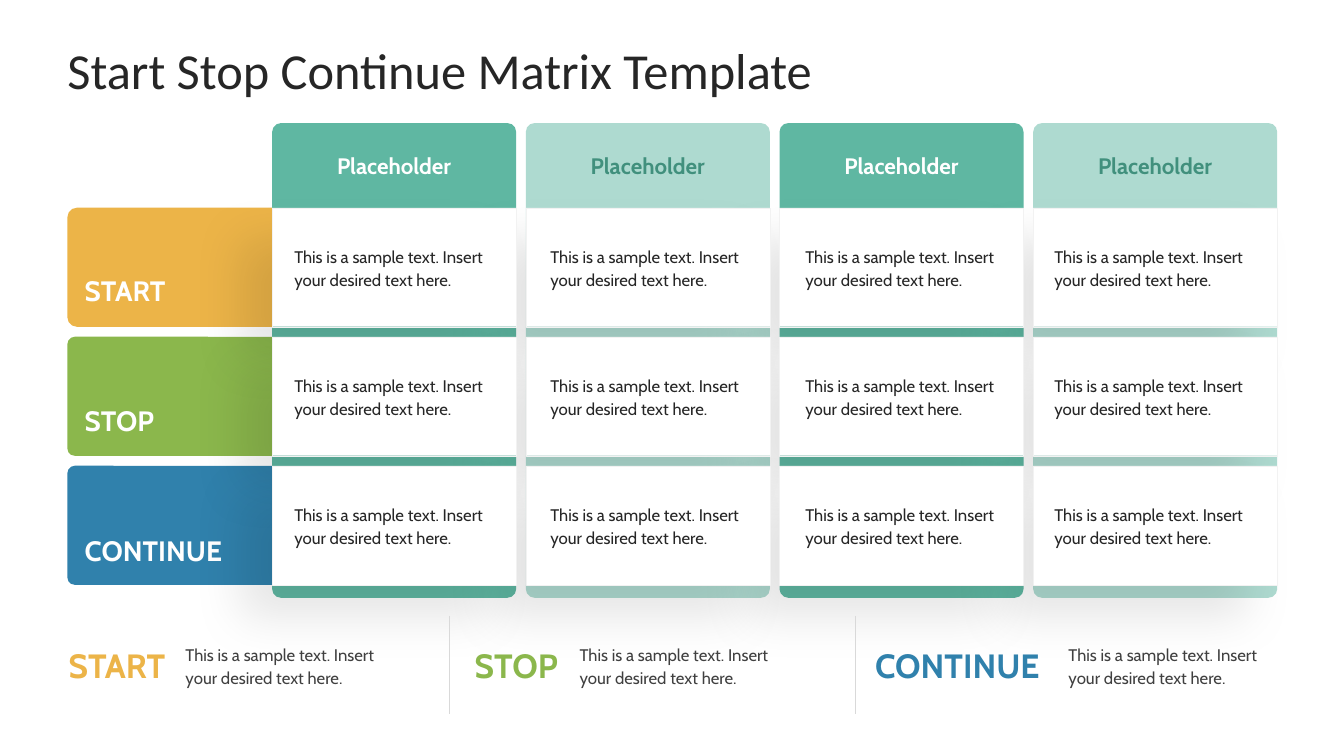
from dataclasses import dataclass

from lxml.etree import SubElement
from pptx import Presentation
from pptx.dml.color import RGBColor
from pptx.enum.shapes import MSO_CONNECTOR, MSO_SHAPE
from pptx.enum.text import MSO_ANCHOR, PP_ALIGN
from pptx.oxml.ns import qn
from pptx.util import Pt


@dataclass(frozen=True)
class Theme:
    teal: str = "5FB7A2"
    dark_teal: str = "41907D"
    white: str = "FFFFFF"
    ink: str = "262626"
    soft_ink: str = "404040"
    cell_edge: str = "F2F2F2"
    divider: str = "D9D9D9"
    shadow: str = "000000"
    title_font: str = "Calibri"
    body_font: str = "Cabin"
    title_size: float = 36
    legend_size: float = 24
    row_size: float = 20
    header_size: float = 16
    body_size: float = 12


THEME = Theme()
SAMPLE = "This is a sample text. Insert your desired text here."

COLUMN_LEFT, COLUMN_TOP, COLUMN_PITCH = 194.4, 87.9, 181.2
COLUMN_WIDTH, COLUMN_HEIGHT = 174.3, 339.1
ROW_TOP, ROW_PITCH, ROW_HEIGHT = 148.4, 92.15, 85
CELL_TEXT_LEFTS = (210.2, 393.1, 575.3, 753.1)
SAMPLE_WIDTH = 142.6

# name, colour, corner radius, legend name left, legend name width, legend text left
ROWS = (
    ("START", "ECB448", 0.079, 49, 72, 132.5),
    ("STOP", "8BB74C", 0.061, 339.1, 72, 414),
    ("CONTINUE", "3081AC", 0.061, 625, 142.6, 763.2),
)


def add_block(slide, kind, left, top, width, height, color):
    block = slide.shapes.add_shape(kind, Pt(left), Pt(top), Pt(width), Pt(height))
    block.shadow.inherit = False
    block.fill.solid()
    block.fill.fore_color.rgb = RGBColor.from_string(color)
    block.line.fill.background()
    return block


def add_rounded(slide, left, top, width, height, color, radius):
    block = add_block(slide, MSO_SHAPE.ROUNDED_RECTANGLE, left, top, width, height, color)
    block.adjustments[0] = radius
    return block


def set_alpha(color_element, percent):
    SubElement(color_element, qn("a:alpha"), val=str(percent * 1000))


def add_text(slide, text, left, top, width, height, size, color, bold=False,
             font=THEME.body_font, align=PP_ALIGN.LEFT, spacing=None):
    box = slide.shapes.add_textbox(Pt(left), Pt(top), Pt(width), Pt(height))
    frame = box.text_frame
    frame.word_wrap = True
    frame.vertical_anchor = MSO_ANCHOR.MIDDLE
    frame.margin_left = frame.margin_right = frame.margin_top = frame.margin_bottom = 0
    para = frame.paragraphs[0]
    para.text = text
    para.alignment = align
    if spacing:
        para.line_spacing = spacing
    para.font.name = font
    para.font.size = Pt(size)
    para.font.bold = bold
    para.font.color.rgb = RGBColor.from_string(color)


def add_sample(slide, left, top, height, color):
    add_text(slide, SAMPLE, left, top, SAMPLE_WIDTH, height, THEME.body_size, color, spacing=1.1)


def add_row_label(slide, index, name, color, radius):
    add_rounded(slide, 48.2, ROW_TOP + index * ROW_PITCH, 180, ROW_HEIGHT, color, radius)
    add_text(slide, name, 60.5, 195.1 + index * 92.9, 121, 23.8,
             THEME.row_size, THEME.white, bold=True)


def add_column(slide, index):
    """Draw the coloured back of a column and its header; every second one is pale."""
    pale = index % 2 == 1
    left = COLUMN_LEFT + index * COLUMN_PITCH
    back = add_rounded(slide, left, COLUMN_TOP, COLUMN_WIDTH, COLUMN_HEIGHT, THEME.teal, 0.036)
    if pale:
        set_alpha(back._element.spPr.find(qn("a:solidFill"))[0], 50)
    add_text(slide, "Placeholder", left + 8.6, 106.6, 157, 23.8, THEME.header_size,
             THEME.dark_teal if pale else THEME.white, bold=True, align=PP_ALIGN.CENTER)


def add_cell(slide, column, row):
    top = ROW_TOP + row * ROW_PITCH
    cell = add_block(slide, MSO_SHAPE.RECTANGLE, COLUMN_LEFT + column * COLUMN_PITCH, top,
                     COLUMN_WIDTH, ROW_HEIGHT, THEME.white)
    cell.line.color.rgb = RGBColor.from_string(THEME.cell_edge)
    cell.line.width = Pt(0.25)
    effects = cell._element.spPr.find(qn("a:effectLst"))
    shadow = SubElement(effects, qn("a:outerShdw"), blurRad=str(Pt(35)), dist=str(Pt(32)),
                        dir=str(135 * 60000), algn="tr", rotWithShape="0")
    set_alpha(SubElement(shadow, qn("a:srgbClr"), val=THEME.shadow), 10)


def add_divider(slide, left):
    divider = slide.shapes.add_connector(MSO_CONNECTOR.STRAIGHT, Pt(left), Pt(440),
                                         Pt(left), Pt(509.8))
    divider.line.color.rgb = RGBColor.from_string(THEME.divider)
    divider.line.width = Pt(0.75)
    SubElement(divider._element.spPr, qn("a:effectLst"))


def add_legend_entry(slide, name, color, name_left, name_width, text_left):
    add_text(slide, name, name_left, 463, name_width, 23.8, THEME.legend_size, color, bold=True)
    add_sample(slide, text_left, 457.2, 36, THEME.soft_ink)


def main():
    deck = Presentation()
    deck.slide_width, deck.slide_height = Pt(960), Pt(540)
    slide = deck.slides.add_slide(deck.slide_layouts[6])

    add_text(slide, "Start Stop Continue Matrix Template", 48.2, 21.6, 864, 56.2,
             THEME.title_size, THEME.ink, font=THEME.title_font)
    for index, (name, color, radius, *_) in enumerate(ROWS):
        add_row_label(slide, index, name, color, radius)
    for column in range(len(CELL_TEXT_LEFTS)):
        add_column(slide, column)

    # Shadows fall to the left, so the columns are stacked from right to left.
    for column in reversed(range(len(CELL_TEXT_LEFTS))):
        for row in range(len(ROWS)):
            add_cell(slide, column, row)
        for row in range(len(ROWS)):
            add_sample(slide, CELL_TEXT_LEFTS[column], ROW_TOP + row * ROW_PITCH + 18, 49,
                       THEME.ink)

    for left in (321.1, 611.3):
        add_divider(slide, left)
    for name, color, _, name_left, name_width, text_left in ROWS:
        add_legend_entry(slide, name, color, name_left, name_width, text_left)
    deck.save("out.pptx")


if __name__ == "__main__":
    main()
